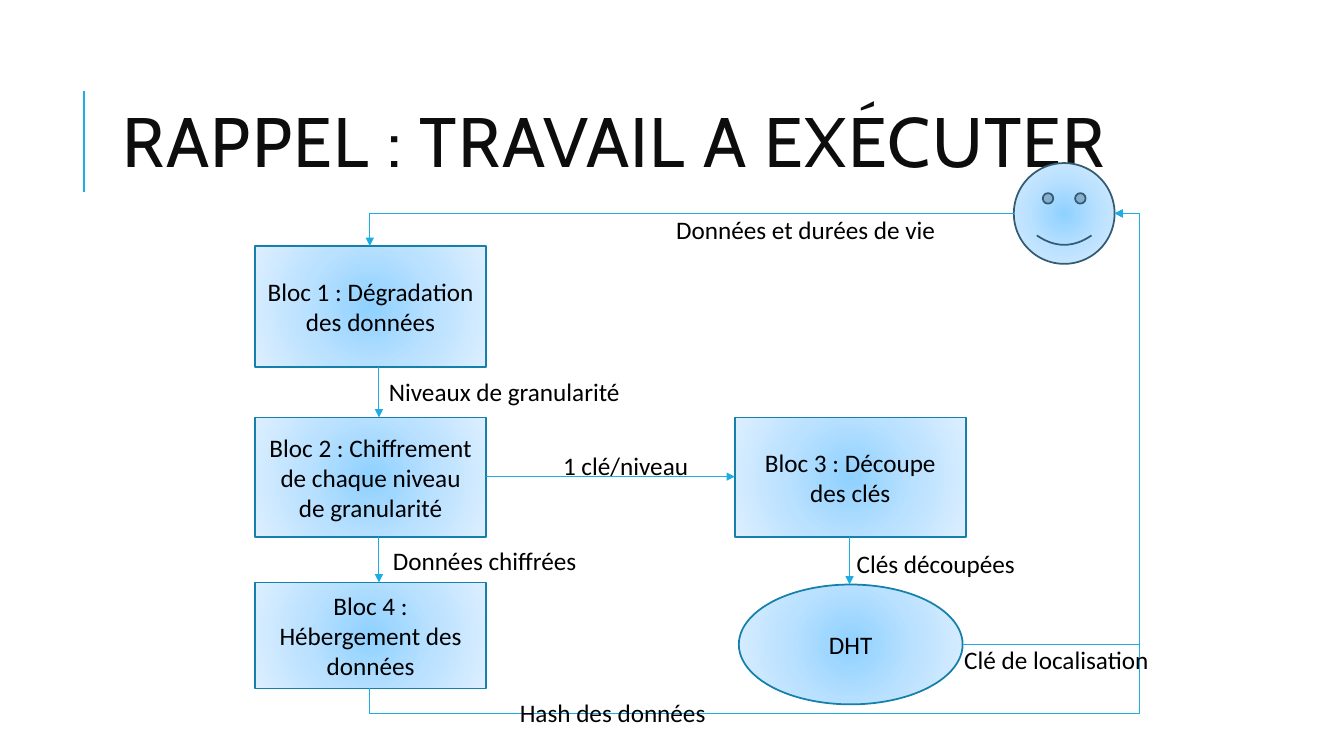
from math import cos, sin, radians
from lxml.etree import SubElement
from pptx import Presentation
from pptx.dml.color import RGBColor
from pptx.enum.shapes import MSO_CONNECTOR, MSO_SHAPE
from pptx.enum.text import MSO_ANCHOR, MSO_AUTO_SIZE, PP_ALIGN
from pptx.oxml import parse_xml
from pptx.oxml.ns import nsdecls, qn
from pptx.util import Cm, Pt

BLACK = RGBColor(0, 0, 0)
INK = RGBColor(0x0D, 0x0D, 0x0D)
CYAN = RGBColor(0x1C, 0xAD, 0xE4)
EDGE = RGBColor(0x15, 0x80, 0xA9)
SLATE = RGBColor(0x33, 0x5B, 0x74)
GLOW = [(0, RGBColor(0x8F, 0xD1, 0xFF)), (50, RGBColor(0xBA, 0xE1, 0xFF)),
        (100, RGBColor(0xDD, 0xEF, 0xFF))]

# Nodes: kind, left, top, width, height, text, edge colour
NODES = [
    (MSO_SHAPE.RECTANGLE, 0, 2.09, 5.82, 3.05,
     "Bloc 1 : Dégradation des données", EDGE),
    (MSO_SHAPE.RECTANGLE, 0, 6.41, 5.82, 3.02,
     "Bloc 2 : Chiffrement de chaque niveau de granularité", EDGE),
    (MSO_SHAPE.RECTANGLE, 12.09, 6.41, 5.82, 3.02,
     "Bloc 3 : Découpe des clés", EDGE),
    (MSO_SHAPE.RECTANGLE, 0, 10.57, 5.82, 2.67,
     "Bloc 4 : Hébergement des données", EDGE),
    (MSO_SHAPE.OVAL, 12.19, 10.62, 5.64, 3.02, "DHT", EDGE),
    (MSO_SHAPE.SMILEY_FACE, 19.12, 0, 2.54, 2.54, "", SLATE),
]
# Straight arrows: start, end
ARROWS = [
    ((3.12, 5.14), (3.12, 6.41)),
    ((3.12, 9.43), (3.12, 10.57)),
    ((5.82, 7.9), (12.09, 7.9)),
    ((14.98, 9.43), (14.98, 10.62)),
]
# Bent arrows: start, end, preset, turn in degrees, adjustments in percent
BENDS = [
    ((17.83, 12.13), (21.66, 1.27), "bentConnector3", 0, [116.5]),
    ((2.89, 13.24), (21.66, 1.27), "bentConnector4", 90, [-5.3, 103.4]),
    ((19.12, 1.27), (2.89, 2.09), "bentConnector2", 180, []),
]
# Labels: left, top, width, text
LABELS = [
    (3.22, 9.5, 5.21, "Données chiffrées"),
    (3.12, 5.26, 6.4, "Niveaux de granularité"),
    (7.51, 7.12, 3.86, "1 clé/niveau"),
    (14.91, 9.58, 4.55, "Clés découpées"),
    (17.62, 11.99, 5.21, "Clé de localisation"),
    (6.42, 13.34, 5.26, "Hash des données"),
    (10.36, 1.17, 7.14, "Données et durées de vie"),
]


def write(frame, text, align):
    para = frame.paragraphs[0]
    para.text, para.alignment = text, align
    para.font.name, para.font.size = "Calibri", Pt(18)
    para.font.color.rgb = BLACK


def glow(shape):
    """Fill with a radial gradient."""
    stops = "".join(f'<a:gs pos="{pos * 1000}"><a:srgbClr val="{tint}"/></a:gs>'
                    for pos, tint in GLOW)
    fill = parse_xml(
        f'<a:gradFill {nsdecls("a")} rotWithShape="1"><a:gsLst>{stops}</a:gsLst>'
        '<a:path path="circle"><a:fillToRect l="50000" t="50000" r="50000" '
        'b="50000"/></a:path></a:gradFill>')
    shape._element.spPr.find(qn("a:prstGeom")).addnext(fill)


def add_node(slide, left, top, node):
    kind, x, y, wide, high, text, edge = node
    shape = slide.shapes.add_shape(
        kind, Cm(left + x), Cm(top + y), Cm(wide), Cm(high))
    shape.shadow.inherit = False
    glow(shape)
    shape.line.color.rgb, shape.line.width = edge, Pt(1.25)
    if text:
        shape.text_frame.vertical_anchor = MSO_ANCHOR.MIDDLE
        write(shape.text_frame, text, PP_ALIGN.CENTER)


def add_line(slide, start, end, width=0.75, head=True, kind=MSO_CONNECTOR.STRAIGHT):
    line = slide.shapes.add_connector(kind, *map(Cm, (*start, *end)))
    line.line.color.rgb, line.line.width = CYAN, Pt(width)
    if head:
        SubElement(line.line._get_or_add_ln(), qn("a:tailEnd"), type="triangle")
    SubElement(line._element.spPr, qn("a:effectLst"))
    return line


def add_bend(slide, start, end, preset, turn, adjust):
    # Undo the turn about the centre to find the unrotated ends
    mid_x, mid_y = (start[0] + end[0]) / 2, (start[1] + end[1]) / 2
    c, s = cos(radians(turn)), sin(radians(turn))
    ends = [(mid_x + (x - mid_x) * c + (y - mid_y) * s,
             mid_y - (x - mid_x) * s + (y - mid_y) * c) for x, y in (start, end)]
    line = add_line(slide, *ends, kind=MSO_CONNECTOR.ELBOW)
    props = line._element.spPr
    props.find(qn("a:xfrm")).set("rot", str(turn * 60000))
    shape = props.find(qn("a:prstGeom"))
    shape.set("prst", preset)
    guides = shape.get_or_add_avLst()
    for i, part in enumerate(adjust, 1):
        SubElement(guides, qn("a:gd"), name=f"adj{i}",
                   fmla=f"val {round(part * 1000)}")


def add_label(slide, x, y, wide, text):
    box = slide.shapes.add_textbox(Cm(x), Cm(y), Cm(wide), Cm(1.02))
    box.text_frame.word_wrap = False
    box.text_frame.auto_size = MSO_AUTO_SIZE.SHAPE_TO_FIT_TEXT
    write(box.text_frame, text, PP_ALIGN.LEFT)


def add_title(slide, left, top, wide, high):
    # Accent rule beside the title
    add_line(slide, (left - 0.73, top + 3.2), (left - 0.73, top + 0.66), 1.5, False)
    title = slide.shapes.title
    title.left, title.top, title.width, title.height = map(
        Cm, (left, top, wide, high))
    frame = title.text_frame
    frame.text = "RAPPEL : TRAVAIL A EXÉCUTER"
    frame.vertical_anchor = MSO_ANCHOR.MIDDLE
    frame.auto_size, frame.word_wrap = MSO_AUTO_SIZE.NONE, True
    para = frame.paragraphs[0]
    para.alignment, para.line_spacing = PP_ALIGN.LEFT, 0.8
    para.font.name, para.font.size = "Cabin", Pt(50)
    para.font.color.rgb = INK
    para.runs[0].font._element.set("spc", "100")


def add_flow(slide, left, top):
    def move(point):
        return left + point[0], top + point[1]

    for node in NODES:
        add_node(slide, left, top, node)
    for start, end in ARROWS:
        add_line(slide, move(start), move(end))
    for start, end, *form in BENDS:
        add_bend(slide, move(start), move(end), *form)
    for x, y, wide, text in LABELS:
        add_label(slide, left + x, top + y, wide, text)


deck = Presentation()
deck.slide_width, deck.slide_height = Cm(33.87), Cm(19.05)
slide = deck.slides.add_slide(deck.slide_layouts[5])
add_title(slide, 2.84, 1.63, 27, 4.17)
add_flow(slide, 6.43, 4.11)
deck.save("out.pptx")
